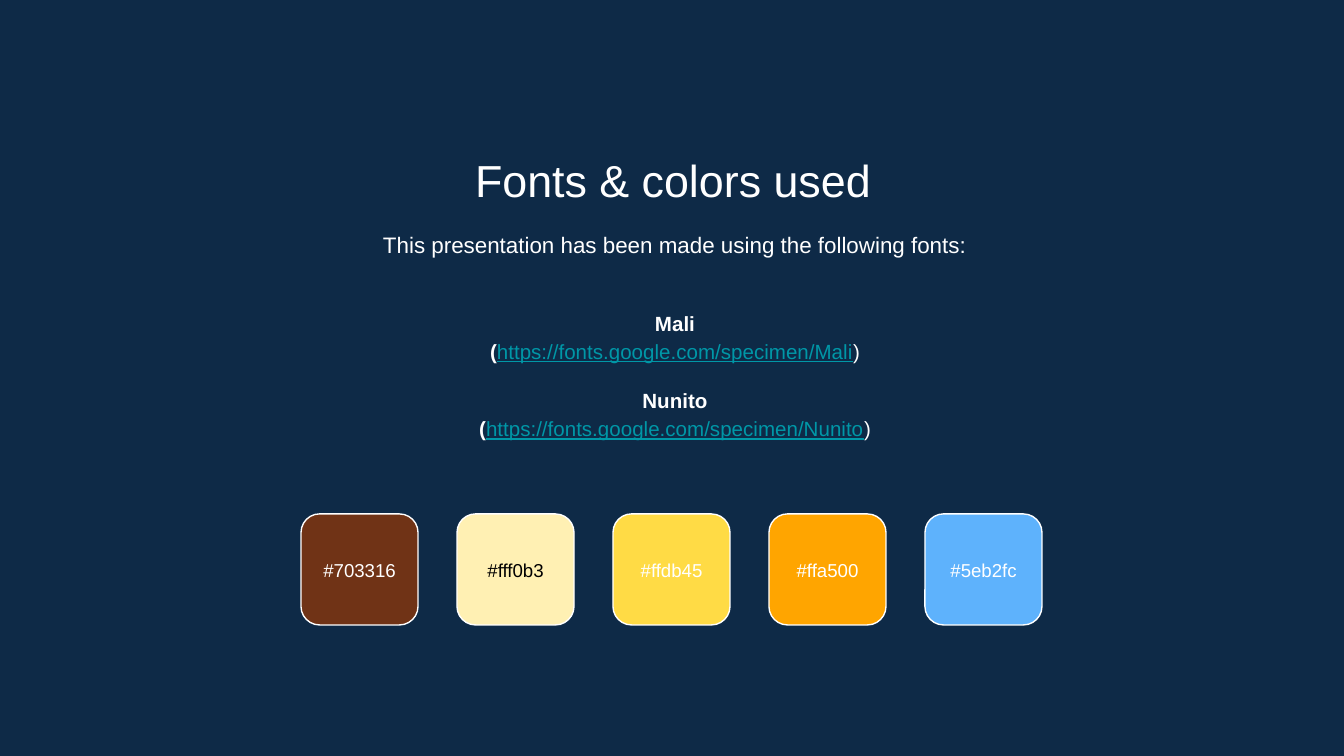
from dataclasses import dataclass

from pptx import Presentation
from pptx.dml.color import RGBColor
from pptx.enum.shapes import MSO_SHAPE
from pptx.enum.text import MSO_ANCHOR, MSO_AUTO_SIZE, PP_ALIGN
from pptx.shapes.base import BaseShape
from pptx.slide import Slide
from pptx.text.text import TextFrame
from pptx.util import Emu, Pt

SLIDE_W, SLIDE_H = 1344, 756
EMU_PER_PX = 9144000 / SLIDE_W

NAVY = RGBColor(0x0E, 0x2A, 0x47)
WHITE = RGBColor(0xFF, 0xFF, 0xFF)
BLACK = RGBColor(0x00, 0x00, 0x00)
TEAL = RGBColor(0x00, 0x97, 0xA7)

ROUNDED = MSO_SHAPE.ROUNDED_RECTANGLE
TOP, MIDDLE = MSO_ANCHOR.TOP, MSO_ANCHOR.MIDDLE
CENTER = PP_ALIGN.CENTER
NO_AUTOFIT = MSO_AUTO_SIZE.NONE

FONT_NAME = "Arial"
LINE_SPACING = 1.15
FAMILY_GAP = Pt(11)
INSET = 13

SWATCH_LEFT, SWATCH_TOP = 301, 514
SWATCH_W, SWATCH_H, SWATCH_PITCH = 117, 111, 156
LABEL_TOP, LABEL_H = 538, 65


@dataclass(frozen=True)
class Box:
    left: int
    top: int
    width: int
    height: int

    def emu(self) -> tuple[Emu, ...]:
        return tuple(px(v) for v in (self.left, self.top, self.width, self.height))


@dataclass(frozen=True)
class Span:
    text: str
    size: int
    color: RGBColor = WHITE
    bold: bool = False
    underline: bool = False


@dataclass(frozen=True)
class Swatch:
    code: str
    label_color: RGBColor = WHITE


TITLE_BOX = Box(155, 140, 1036, 71)
INTRO_BOX = Box(157, 214, 1036, 65)
FAMILIES_BOX = Box(157, 282, 1036, 184)

FAMILIES = ("Mali", "Nunito")
SWATCHES = (
    Swatch("#703316"),
    Swatch("#fff0b3", BLACK),
    Swatch("#ffdb45"),
    Swatch("#ffa500"),
    Swatch("#5eb2fc"),
)


def px(length: int) -> Emu:
    return Emu(round(length * EMU_PER_PX))


def set_all(target: object, values: dict[str, object]) -> None:
    for name, value in values.items():
        setattr(target, name, value)


def place(shape: BaseShape, box: Box) -> None:
    names = ("left", "top", "width", "height")
    set_all(shape, dict(zip(names, box.emu())))


def write(frame: TextFrame, lines: list[list[Span]], anchor: MSO_ANCHOR,
          spacing: float = 1.0) -> None:
    """Fill a frame with centred paragraphs, each made of spans."""
    margins = ("margin_left", "margin_top", "margin_right", "margin_bottom")
    set_all(frame, {name: px(INSET) for name in margins} | {
        "word_wrap": True, "auto_size": NO_AUTOFIT, "vertical_anchor": anchor})
    for index, spans in enumerate(lines):
        paragraph = frame.add_paragraph() if index else frame.paragraphs[0]
        set_all(paragraph, {"alignment": CENTER, "line_spacing": spacing})
        for span in spans:
            run = paragraph.add_run()
            run.text = span.text
            set_all(run.font, {"name": FONT_NAME, "size": Pt(span.size),
                               "bold": span.bold, "underline": span.underline})
            run.font.color.rgb = span.color


def add_text(slide: Slide, box: Box, lines: list[list[Span]],
             anchor: MSO_ANCHOR, spacing: float = 1.0) -> TextFrame:
    frame = slide.shapes.add_textbox(*box.emu()).text_frame
    write(frame, lines, anchor, spacing)
    return frame


def family_lines(family: str) -> list[list[Span]]:
    url = f"https://fonts.google.com/specimen/{family}"
    return [
        [Span(family, 11, bold=True)],
        [Span("(", 11, bold=True), Span(url, 11, TEAL, underline=True), Span(")", 11)],
    ]


def add_swatch(slide: Slide, swatch: Swatch, left: int) -> None:
    tile_box = Box(left, SWATCH_TOP, SWATCH_W, SWATCH_H)
    tile = slide.shapes.add_shape(ROUNDED, *tile_box.emu())
    tile.shadow.inherit = False
    tile.fill.solid()
    tile.fill.fore_color.rgb = RGBColor.from_string(swatch.code[1:].upper())
    tile.line.color.rgb = WHITE
    tile.line.width = Pt(0.75)
    add_text(slide, Box(left, LABEL_TOP, SWATCH_W, LABEL_H),
             [[Span(swatch.code, 10, swatch.label_color)]], MIDDLE)


def main() -> None:
    deck = Presentation()
    deck.slide_width, deck.slide_height = px(SLIDE_W), px(SLIDE_H)
    slide = deck.slides.add_slide(deck.slide_layouts[5])
    slide.background.fill.solid()
    slide.background.fill.fore_color.rgb = NAVY

    title = slide.shapes.title
    place(title, TITLE_BOX)
    write(title.text_frame, [[Span("Fonts & colors used", 24)]], TOP)

    intro = "This presentation has been made using the following fonts:"
    add_text(slide, INTRO_BOX, [[Span(intro, 12)]], TOP, LINE_SPACING)

    lines = [line for family in FAMILIES for line in family_lines(family)]
    families = add_text(slide, FAMILIES_BOX, lines, MIDDLE, LINE_SPACING)
    for heading in families.paragraphs[2::2]:
        heading.space_before = FAMILY_GAP

    for index, swatch in enumerate(SWATCHES):
        add_swatch(slide, swatch, SWATCH_LEFT + index * SWATCH_PITCH)

    deck.save("out.pptx")


if __name__ == "__main__":
    main()
